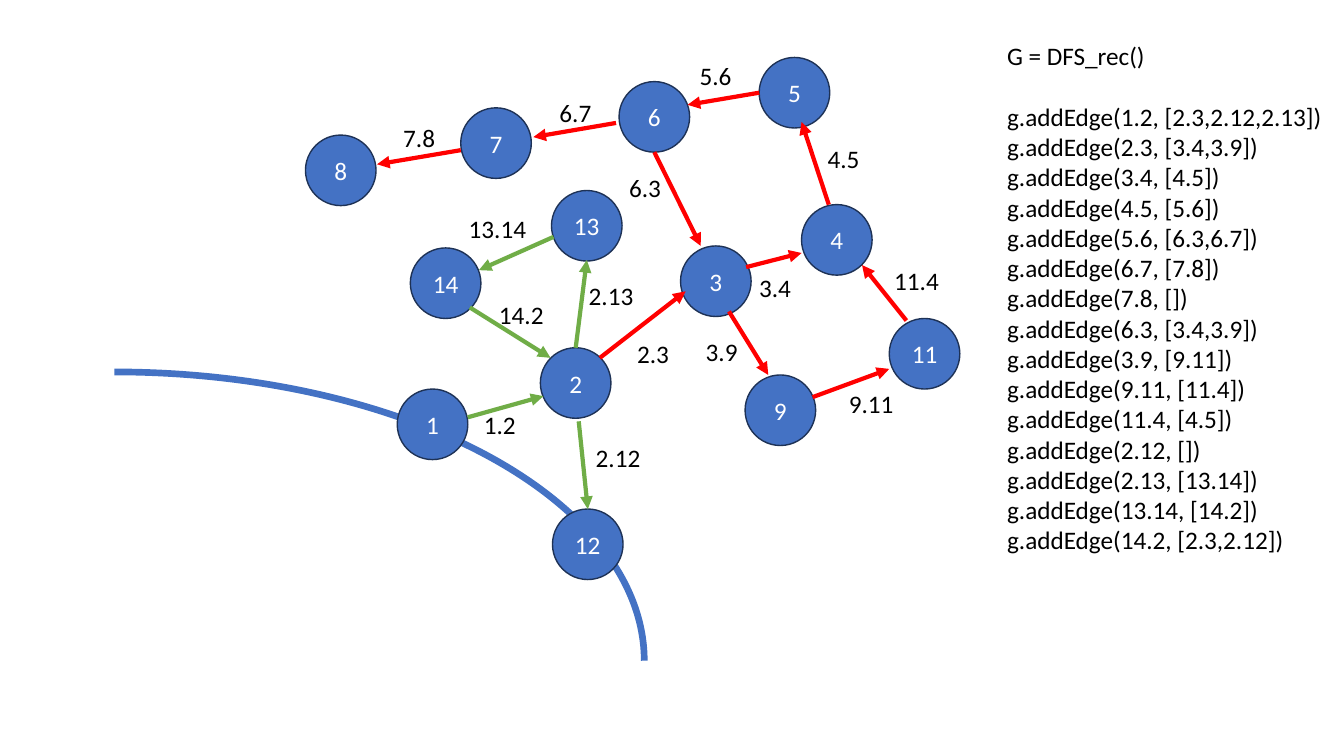
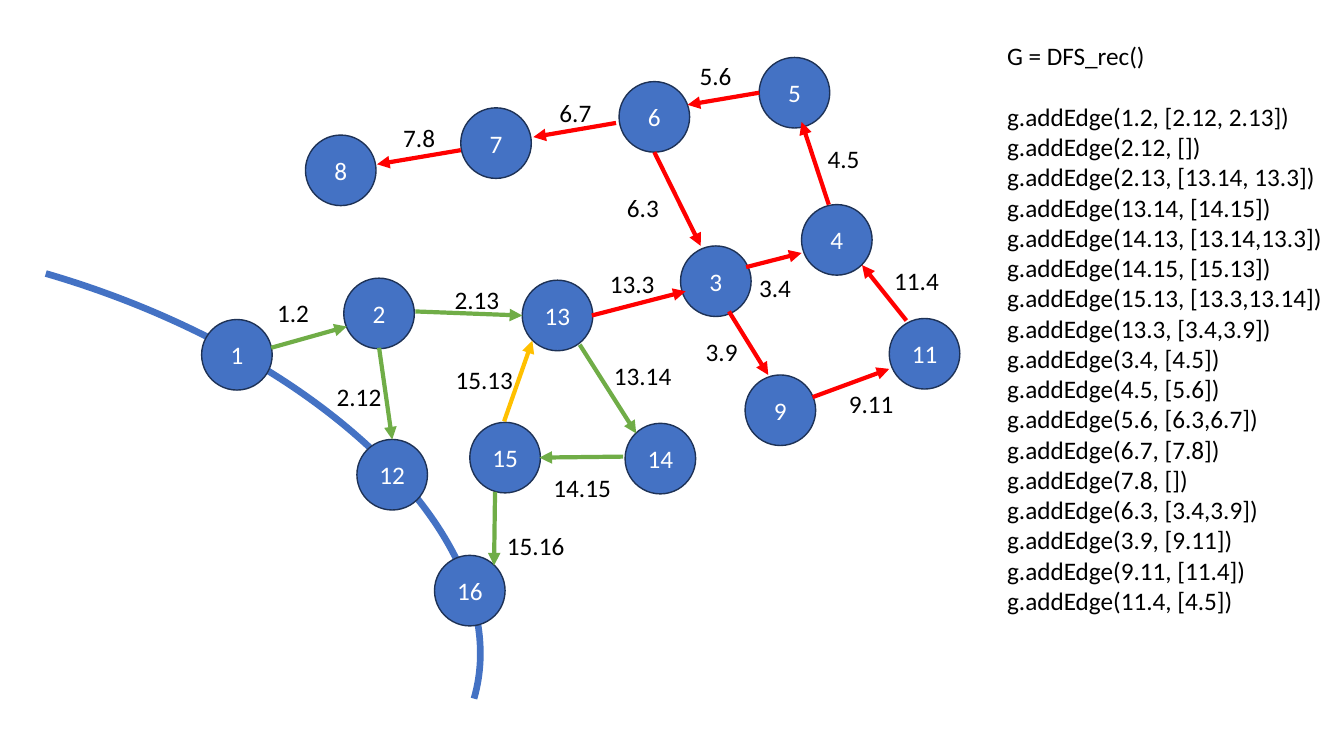
import pptx
import pptx.util
import pptx.dml.color
import pptx.enum.shapes
import pptx.enum.text
import pptx.oxml.ns
from dataclasses import dataclass
from lxml import etree
from pptx.util import Inches


@dataclass(frozen=True)
class Theme:
    font: str = "Calibri"
    size: int = 18
    blue: str = "4472C4"
    outline: str = "1E3256"
    green: str = "70AD47"
    red: str = "FF0000"
    amber: str = "FFC000"
    black: str = "000000"
    white: str = "FFFFFF"
    node_line: float = 1
    edge_line: float = 3
    arc_line: float = 4.75
    heading_gap: int = 22


THEME = Theme()
NODE_SIZE = 0.7
ARC_SIZE = (10.51, 5.73)
CODE_AT = (9.89, 0.35)
CODE_WIDTH = 3.36
LINE_HEIGHT = 0.3


@dataclass(frozen=True)
class Edge:
    name: str
    start: tuple
    end: tuple
    label_at: tuple
    color: str = THEME.red


# Part of the graph that both slides share: node -> left, top
SHARED_NODES = {
    3: (6.75, 2.44), 4: (7.95, 2.03), 5: (7.53, 0.57), 6: (6.14, 0.81),
    7: (4.57, 1.07), 8: (3.03, 1.34), 9: (7.39, 3.72), 11: (8.82, 3.16),
}
SHARED_EDGES = [
    Edge("3.4", (7.4, 2.65), (7.95, 2.51), (7.43, 2.65)),
    Edge("4.5", (8.22, 2.03), (7.95, 1.21), (8.11, 1.37)),
    Edge("5.6", (7.53, 0.92), (6.82, 1.04), (6.84, 0.55)),
    Edge("6.7", (6.11, 1.22), (5.29, 1.36), (5.45, 0.92)),
    Edge("7.8", (4.57, 1.49), (3.74, 1.63), (3.9, 1.16)),
    Edge("3.9", (7.23, 3.09), (7.62, 3.72), (6.9, 3.29)),
    Edge("9.11", (8.06, 3.94), (8.82, 3.66), (8.32, 3.8)),
    Edge("11.4", (8.99, 3.18), (8.55, 2.63), (8.77, 2.58)),
]

# Per slide: boundary arc, own nodes and edges, and the successors of each edge
GRAPHS = [
    {
        "arc": (-4.12, 3.69, 0),
        "nodes": {1: (3.94, 3.86), 2: (5.36, 3.45), 12: (5.48, 5.05),
                  13: (5.47, 1.89), 14: (4.07, 2.46)},
        "edges": [
            Edge("1.2", (4.64, 4.14), (5.39, 3.93), (4.7, 4.01), THEME.green),
            Edge("2.3", (5.95, 3.55), (6.8, 2.89), (6.22, 3.31)),
            Edge("6.3", (6.49, 1.51), (6.95, 2.44), (6.14, 1.66)),
            Edge("2.12", (5.74, 4.18), (5.83, 5.05), (5.81, 4.34), THEME.green),
            Edge("2.13", (5.71, 3.45), (5.82, 2.58), (5.74, 2.73), THEME.green),
            Edge("13.14", (5.49, 2.35), (4.75, 2.68), (4.55, 2.07), THEME.green),
            Edge("14.2", (4.66, 3.05), (5.46, 3.55), (4.85, 2.92), THEME.green),
        ],
        "successors": {
            "1.2": "2.3,2.12,2.13", "2.3": "3.4,3.9", "3.4": "4.5",
            "4.5": "5.6", "5.6": "6.3,6.7", "6.7": "7.8", "7.8": "",
            "6.3": "3.4,3.9", "3.9": "9.11", "9.11": "11.4", "11.4": "4.5",
            "2.12": "", "2.13": "13.14", "13.14": "14.2", "14.2": "2.3,2.12",
        },
    },
    {
        "arc": (-5.6, 2.6, 16.2),
        "nodes": {1: (2, 3.17), 2: (3.41, 2.76), 12: (3.54, 4.36),
                  13: (5.18, 2.78), 14: (6.2, 4.2), 15: (4.66, 4.19),
                  16: (4.31, 5.51)},
        "edges": [
            Edge("1.2", (2.69, 3.45), (3.44, 3.24), (2.65, 2.9), THEME.green),
            Edge("13.3", (5.87, 3.13), (6.8, 2.89), (5.95, 2.61)),
            Edge("6.3", (6.49, 1.51), (6.95, 2.44), (6.12, 1.86)),
            Edge("2.12", (3.76, 3.45), (3.89, 4.36), (3.24, 3.73), THEME.green),
            Edge("2.13", (4.12, 3.09), (5.18, 3.13), (4.41, 2.77), THEME.green),
            Edge("13.14", (5.75, 3.42), (6.31, 4.3), (5.99, 3.53), THEME.green),
            Edge("14.15", (6.18, 4.53), (5.35, 4.54), (5.39, 4.64), THEME.green),
            Edge("15.13", (5, 4.18), (5.28, 3.38), (4.42, 3.57), THEME.amber),
            Edge("15.16", (4.91, 4.88), (4.9, 5.61), (4.93, 5.21), THEME.green),
        ],
        "successors": {
            "1.2": "2.12, 2.13", "2.12": "", "2.13": "13.14, 13.3",
            "13.14": "14.15", "14.13": "13.14,13.3", "14.15": "15.13",
            "15.13": "13.3,13.14", "13.3": "3.4,3.9", "3.4": "4.5",
            "4.5": "5.6", "5.6": "6.3,6.7", "6.7": "7.8", "7.8": "",
            "6.3": "3.4,3.9", "3.9": "9.11", "9.11": "11.4", "11.4": "4.5",
        },
    },
]


def rgb(color):
    return pptx.dml.color.RGBColor.from_string(color)


def style_line(line, color, width):
    line.color.rgb = rgb(color)
    line.width = pptx.util.Pt(width)


def style_font(para, color):
    para.font.name = THEME.font
    para.font.size = pptx.util.Pt(THEME.size)
    para.font.color.rgb = rgb(color)


def add_arc(page, left, top, rotation):
    arc = page.shapes.add_shape(
        pptx.enum.shapes.MSO_SHAPE.ARC, Inches(left), Inches(top),
        *map(Inches, ARC_SIZE))
    arc.rotation = rotation
    arc.shadow.inherit = False
    arc.fill.background()
    style_line(arc.line, THEME.blue, THEME.arc_line)


def add_node(page, number, left, top):
    node = page.shapes.add_shape(
        pptx.enum.shapes.MSO_SHAPE.OVAL, Inches(left), Inches(top),
        Inches(NODE_SIZE), Inches(NODE_SIZE))
    node.shadow.inherit = False
    node.fill.solid()
    node.fill.fore_color.rgb = rgb(THEME.blue)
    style_line(node.line, THEME.outline, THEME.node_line)
    node.text_frame.vertical_anchor = pptx.enum.text.MSO_ANCHOR.MIDDLE
    para = node.text_frame.paragraphs[0]
    para.text = str(number)
    para.alignment = pptx.enum.text.PP_ALIGN.CENTER
    style_font(para, THEME.white)


def add_text(page, lines, at, width, height):
    box = page.shapes.add_textbox(*map(Inches, (*at, width, height)))
    frame = box.text_frame
    frame.word_wrap = False
    frame.auto_size = pptx.enum.text.MSO_AUTO_SIZE.SHAPE_TO_FIT_TEXT
    frame.text = "\n".join(lines)
    for para in frame.paragraphs:
        style_font(para, THEME.black)
    return box


def add_edge(page, edge):
    arrow = page.shapes.add_connector(
        pptx.enum.shapes.MSO_CONNECTOR.STRAIGHT,
        *map(Inches, (*edge.start, *edge.end)))
    style_line(arrow.line, edge.color, THEME.edge_line)
    # Arrowhead at the end, and no shadow
    qn = pptx.oxml.ns.qn
    properties = arrow.element.spPr
    etree.SubElement(properties.find(qn("a:ln")), qn("a:tailEnd"), type="triangle")
    etree.SubElement(properties, qn("a:effectLst"))
    add_text(page, [edge.name], edge.label_at, 0.13 * (len(edge.name) + 1), 0.4)


def add_code(page, successors):
    lines = ["G = DFS_rec()"]
    lines += [f"g.addEdge({name}, [{following}])"
              for name, following in successors.items()]
    height = 0.1 + LINE_HEIGHT * (len(lines) + 1)
    box = add_text(page, lines, CODE_AT, CODE_WIDTH, height)
    box.text_frame.paragraphs[0].space_after = pptx.util.Pt(THEME.heading_gap)


def add_graph(page, graph):
    add_arc(page, *graph["arc"])
    for number, position in (SHARED_NODES | graph["nodes"]).items():
        add_node(page, number, *position)
    for edge in SHARED_EDGES + graph["edges"]:
        add_edge(page, edge)
    add_code(page, graph["successors"])


def main():
    deck = pptx.Presentation()
    deck.slide_width, deck.slide_height = Inches(13.33), Inches(7.5)
    blank_layout = deck.slide_layouts[6]
    for graph in GRAPHS:
        add_graph(deck.slides.add_slide(blank_layout), graph)
    deck.save("out.pptx")


if __name__ == "__main__":
    main()
